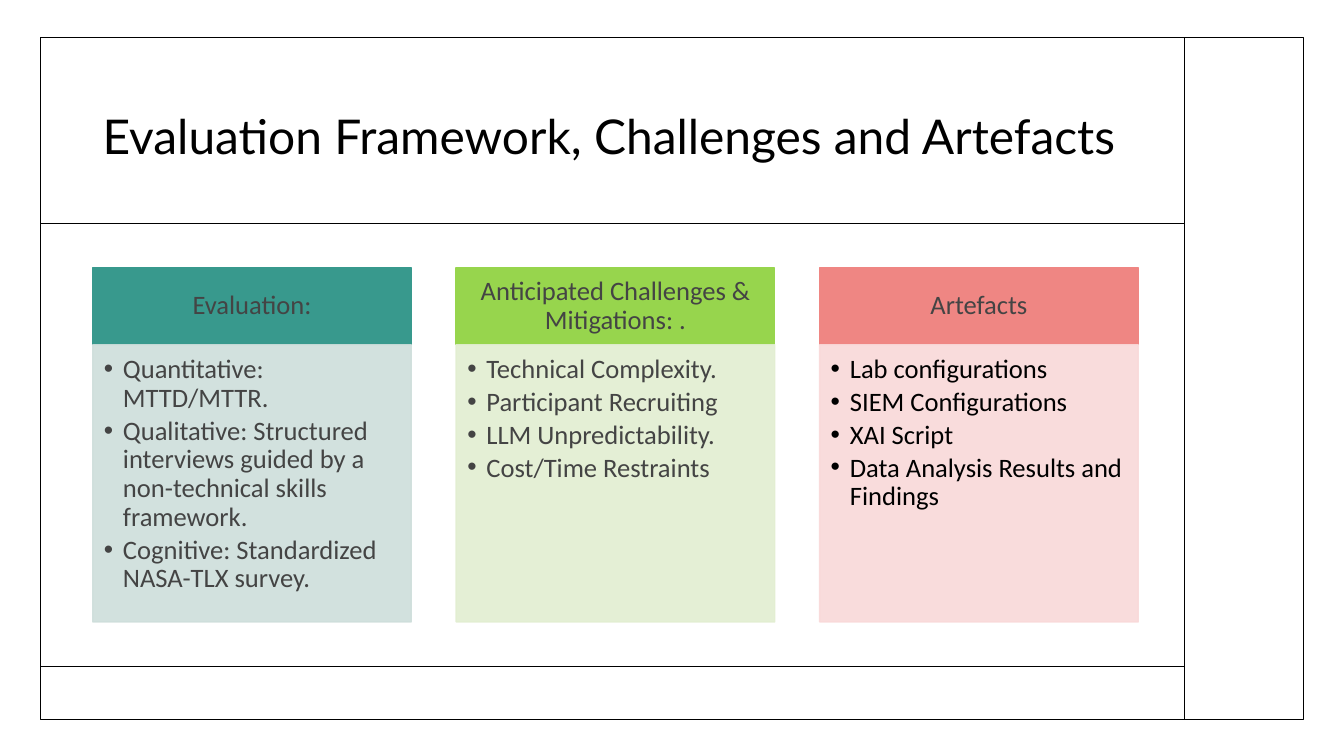
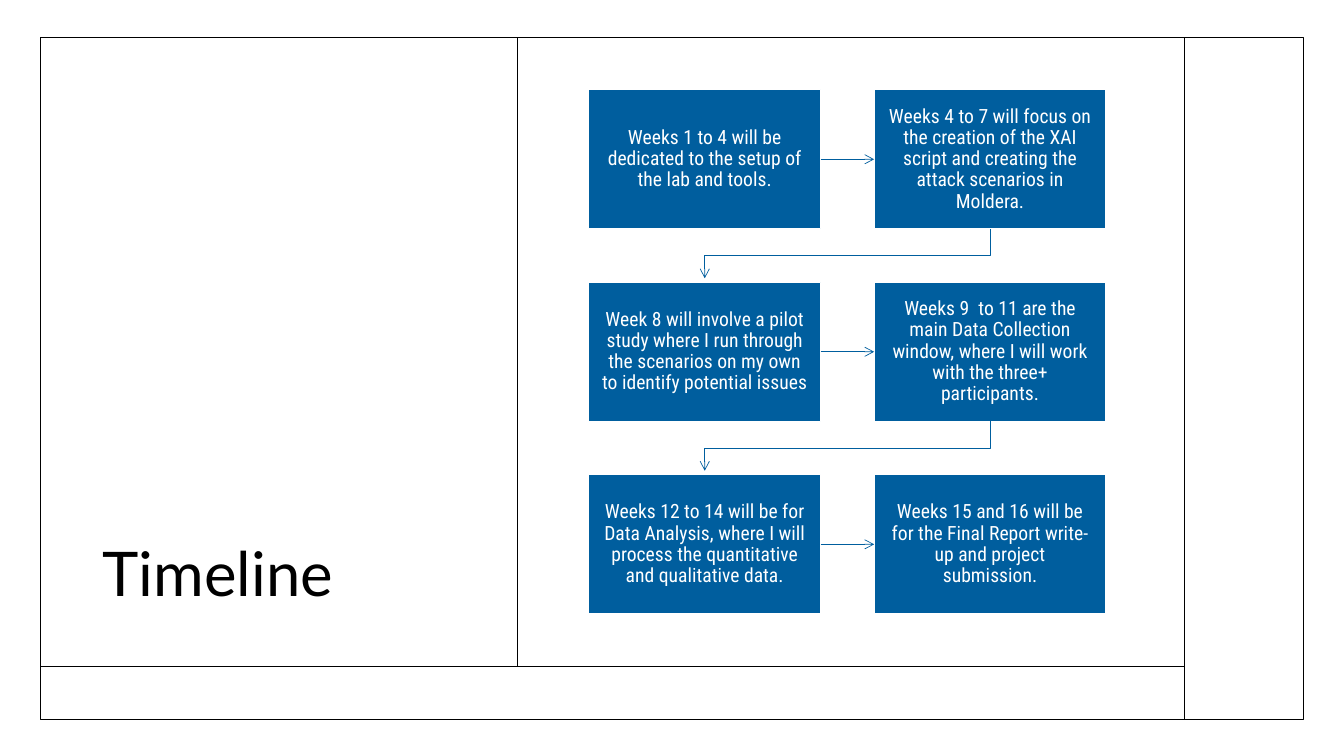
from lxml.etree import SubElement
from pptx import Presentation
from pptx.dml.color import RGBColor
from pptx.enum.shapes import MSO_CONNECTOR, MSO_SHAPE
from pptx.enum.text import MSO_ANCHOR, PP_ALIGN
from pptx.oxml.ns import qn
from pptx.util import Inches, Pt

COLORS = {
    "ink": "000000", "gray": "444444", "white": "FFFFFF", "blue": "005E9E",
    "teal": "38998D", "mist": "CEDEDB", "lime": "97D54D", "leaf": "E2EED1",
    "coral": "EF8683", "blush": "F9D9D9",
}
FRAME = (0.4, 0.37, 12.53, 6.77)
SIDE, FOOT = 11.75, 6.61

PANELS = [
    ("Evaluation:", "teal", "mist", "gray",
     ["Quantitative: MTTD/MTTR.",
      "Qualitative: Structured interviews guided by a non-technical skills framework.",
      "Cognitive: Standardized NASA-TLX survey."]),
    ("Anticipated Challenges & Mitigations: .", "lime", "leaf", "gray",
     ["Technical Complexity.", "Participant Recruiting",
      "LLM Unpredictability.", "Cost/Time Restraints"]),
    ("Artefacts", "coral", "blush", "ink",
     ["Lab configurations", "SIEM Configurations", "XAI Script",
      "Data Analysis Results and Findings"]),
]
STEPS = [
    "Weeks 1 to 4 will be dedicated to the setup of the lab and tools.",
    "Weeks 4 to 7 will focus on the creation of the XAI script and creating "
    "the attack scenarios in Moldera.",
    "Week 8 will involve a pilot study where I run through the scenarios on "
    "my own to identify potential issues",
    "Weeks 9  to 11 are the main Data Collection window, where I will work "
    "with the three+ participants.",
    "Weeks 12 to 14 will be for Data Analysis, where I will process the "
    "quantitative and qualitative data.",
    "Weeks 15 and 16 will be for the Final Report write-up and project "
    "submission.",
]


def color(name):
    """Return the named colour."""
    return RGBColor.from_string(COLORS[name])


def rect(slide, box, fill, edge):
    """Add a rectangle; fill may be None."""
    shape = slide.shapes.add_shape(MSO_SHAPE.RECTANGLE, *map(Inches, box))
    shape.shadow.inherit = False
    if fill:
        shape.fill.solid()
        shape.fill.fore_color.rgb = color(fill)
    else:
        shape.fill.background()
    shape.line.color.rgb = color(edge)
    shape.line.width = Pt(1)
    return shape


def fade(shape, share):
    """Make fill and line of a shape partly clear."""
    for tone in shape.element.spPr.iter(qn("a:srgbClr")):
        SubElement(tone, qn("a:alpha"), val=str(share * 1000))


def write(shape, lines, font, size, tint, align=PP_ALIGN.CENTER,
          anchor=MSO_ANCHOR.MIDDLE, pads=(0.1, 0.05, 0.1, 0.05), lead=0.9):
    """Fill a shape with paragraphs and return them."""
    frame = shape.text_frame
    frame.word_wrap = True
    frame.vertical_anchor = anchor
    (frame.margin_left, frame.margin_top,
     frame.margin_right, frame.margin_bottom) = map(Inches, pads)
    frame.text = "\n".join(lines)
    for para in frame.paragraphs:
        para.alignment = align
        para.line_spacing = lead
        para.font.name = font
        para.font.size = Pt(size)
        para.font.color.rgb = color(tint)
    return frame.paragraphs


def bullet(para):
    """Give a paragraph a hanging bullet."""
    para.space_after = Pt(2.85)
    props = para._p.get_or_add_pPr()
    props.set("marL", str(Inches(0.19)))
    props.set("indent", str(-Inches(0.19)))
    SubElement(props, qn("a:buFont"), typeface="Arial")
    SubElement(props, qn("a:buChar"), char="•")


def rule(slide, start, end, tint="ink", width=1):
    """Draw a straight line between two points."""
    line = slide.shapes.add_connector(
        MSO_CONNECTOR.STRAIGHT, *map(Inches, start + end))
    line.line.color.rgb = color(tint)
    line.line.width = Pt(width)
    SubElement(line.element.spPr, qn("a:effectLst"))
    return line


def point(shape):
    """Put an open arrowhead at the end of a line."""
    SubElement(shape.element.spPr.find(qn("a:ln")), qn("a:tailEnd"), type="arrow")


def base(deck, title, box, size, anchor, lead):
    """Add a slide with the shared frame lines and a title."""
    slide = deck.slides.add_slide(deck.slide_layouts[6])
    left, top, _, high = FRAME
    rect(slide, FRAME, None, "ink")
    rule(slide, (left, FOOT), (SIDE, FOOT))
    rule(slide, (SIDE, top), (SIDE, top + high))
    write(slide.shapes.add_textbox(*map(Inches, box)), [title], "Lato", size,
          "ink", PP_ALIGN.LEFT, anchor, lead=lead)
    return slide


def panel(slide, box, data):
    """Draw a headed panel with a bullet list."""
    left, top, wide, high = box
    head, dark, light, tint, items = data
    cap = 0.76
    bar = rect(slide, (left, top, wide, cap), dark, dark)
    write(bar, [head], "Calibri", 19, "gray", pads=(0.15, 0.08, 0.15, 0.08))
    body = rect(slide, (left, top + cap, wide, high - cap), light, light)
    fade(body, 90)
    for para in write(body, items, "Calibri", 19, tint, PP_ALIGN.LEFT,
                      MSO_ANCHOR.TOP, (0.11, 0.11, 0.15, 0.17)):
        bullet(para)


def panels(slide, box):
    """Spread the panels evenly over a box."""
    left, top, wide, high = box
    size = 3.16
    pitch = (wide - size) / (len(PANELS) - 1)
    for index, data in enumerate(PANELS):
        panel(slide, (left + index * pitch, top, size, high), data)


def bend(slide, start, end):
    """Draw an arrow that steps down, across and down."""
    (ax, ay), (bx, by) = start, end
    mid = (ay + by) / 2
    path = slide.shapes.build_freeform(Inches(ax), Inches(ay))
    path.add_line_segments(
        [(Inches(x), Inches(y)) for x, y in ((ax, mid), (bx, mid), (bx, by - 0.04))],
        close=False)
    shape = path.convert_to_shape()
    shape.shadow.inherit = False
    shape.fill.background()
    shape.line.color.rgb = color("blue")
    shape.line.width = Pt(0.5)
    point(shape)


def steps(slide, box):
    """Lay the steps out in two columns joined by arrows."""
    left, top, wide, high = box
    w, h = 2.3, 1.38
    across = wide - w
    down = (high - h) / (len(STEPS) // 2 - 1)
    last = None
    for index, text in enumerate(STEPS):
        row, col = divmod(index, 2)
        x, y = left + col * across, top + row * down
        card = rect(slide, (x, y, w, h), "blue", "white")
        write(card, [text], "Roboto Condensed", 14, "white",
              pads=(0.11, 0.12, 0.11, 0.12))
        if col:
            arrow = rule(slide, (left + w, y + h / 2), (x, y + h / 2), "blue", 0.5)
            arrow.begin_connect(last, 3)
            arrow.end_connect(card, 1)
            point(arrow)
        elif row:
            bend(slide, (left + across + w / 2, y - down + h), (x + w / 2, y))
        last = card


def review(deck):
    """Build the evaluation slide."""
    slide = base(deck, "Evaluation Framework, Challenges and Artefacts",
                 (0.92, 0.89, 10.38, 1.02), 34.2, MSO_ANCHOR.MIDDLE, 0.8)
    rule(slide, (FRAME[0], 2.22), (SIDE, 2.22))
    panels(slide, (0.92, 2.66, 10.37, 3.51))


def timeline(deck):
    """Build the timeline slide."""
    slide = base(deck, "Timeline", (0.92, 0.89, 3.75, 5.21), 44,
                 MSO_ANCHOR.BOTTOM, 0.9)
    rule(slide, (5.13, FRAME[1]), (5.13, FOOT))
    steps(slide, (5.84, 0.89, 5.13, 5.2))


def main():
    """Build and save the deck."""
    deck = Presentation()
    deck.slide_width, deck.slide_height = Inches(13.33), Inches(7.5)
    review(deck)
    timeline(deck)
    deck.save("out.pptx")


if __name__ == "__main__":
    main()
